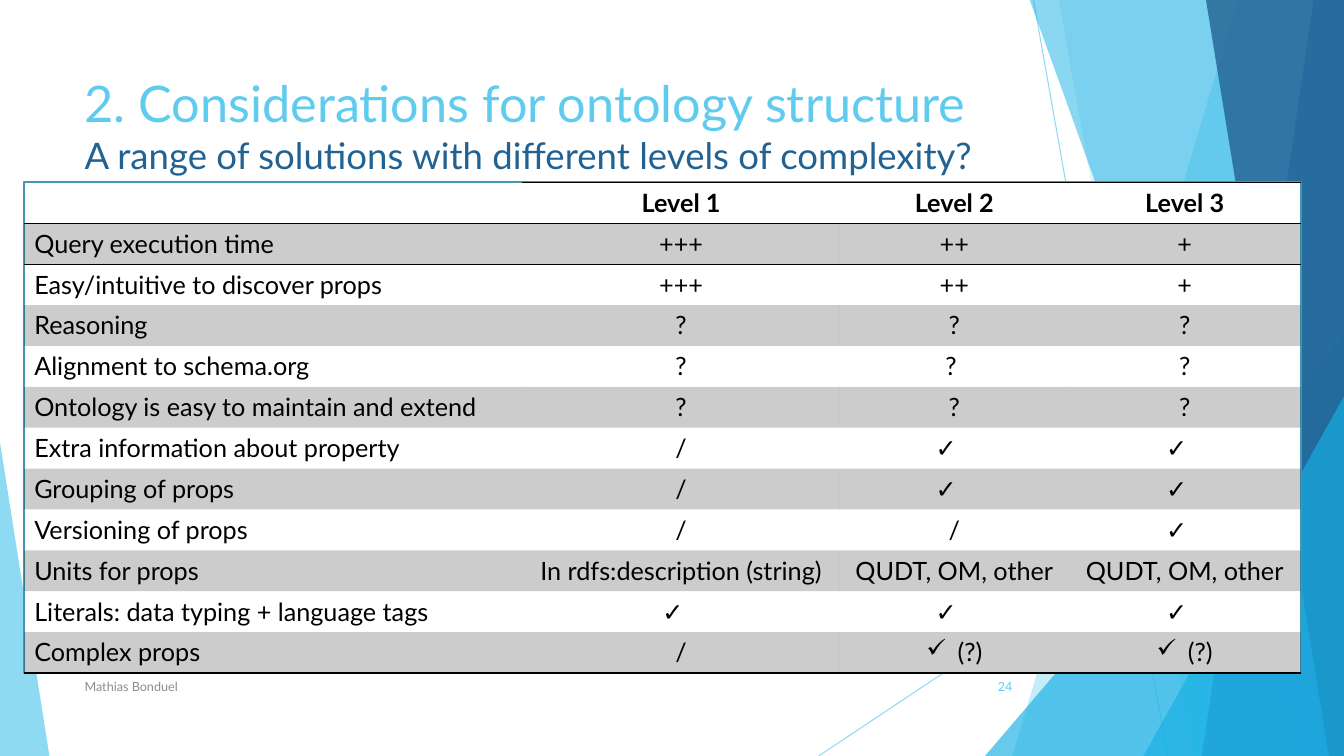
from typing import NamedTuple

from lxml import etree
from pptx import Presentation
from pptx.dml.color import RGBColor
from pptx.enum.shapes import MSO_CONNECTOR, MSO_SHAPE
from pptx.enum.text import MSO_ANCHOR, PP_ALIGN
from pptx.oxml.ns import qn
from pptx.util import Inches, Pt

LEFT, CENTER, RIGHT = PP_ALIGN.LEFT, PP_ALIGN.CENTER, PP_ALIGN.RIGHT
TOP, MIDDLE = MSO_ANCHOR.TOP, MSO_ANCHOR.MIDDLE
STRAIGHT = MSO_CONNECTOR.STRAIGHT
TRIANGLE, RECTANGLE = MSO_SHAPE.ISOSCELES_TRIANGLE, MSO_SHAPE.RECTANGLE

SKY = RGBColor(0x5F, 0xCB, 0xEF)
CYAN = RGBColor(0x17, 0xB0, 0xE4)
BLUE = RGBColor(0x2E, 0x83, 0xC3)
NAVY = RGBColor(0x22, 0x62, 0x92)
TEAL = RGBColor(0x46, 0x96, 0xB1)
GREY = RGBColor(0x8C, 0x8C, 0x8C)
BLACK = RGBColor(0, 0, 0)
WHITE = RGBColor(0xFF, 0xFF, 0xFF)

FONT = "Lato"
WIDTH, HEIGHT = 13.33, 7.5
NO_STYLE = "{2D5ABB26-0587-4C30-8999-92F81FD0307C}"
CHECK = "✓"


class Ray(NamedTuple):
    start: tuple[float, float]
    end: tuple[float, float]


class Band(NamedTuple):
    """Facet reaching the right edge, with a slanted left side."""
    top_x: float
    bottom_x: float
    color: RGBColor
    opacity: int


class Corner(NamedTuple):
    """Triangle standing on the bottom edge."""
    left: float
    top: float
    width: float
    apex: float
    color: RGBColor
    opacity: int


RAYS = [Ray((10.25, 0), (11.58, HEIGHT)), Ray((WIDTH, 4.03), (8.12, HEIGHT))]
FACETS = [
    Band(12.28, 10.04, SKY, 36),
    Band(10.5, 11.83, SKY, 20),
    Corner(9.77, 3.33, 3.56, 1, CYAN, 66),
    Band(10.21, 12.91, CYAN, 50),
    Band(13.03, 11.92, BLUE, 70),
    Band(11.96, 13.18, NAVY, 80),
    Corner(11.34, 3.93, 1.99, 1, CYAN, 66),
    Corner(0, 4.39, 0.49, 0, SKY, 70),
]

TABLE_BOX = [Inches(v) for v in (0.24, 1.81, 12.66, 4.87)]
COLUMN_WIDTHS = [4.94, 3.15, 2.27, 2.3]
COMPARISON = [
    ("", "Level 1", "Level 2", "Level 3"),
    ("Query execution time", "+++", "++", "+"),
    ("Easy/intuitive to discover props", "+++", "++", "+"),
    ("Reasoning", "?", "?", "?"),
    ("Alignment to schema.org", "?", "? ", "?"),
    ("Ontology is easy to maintain and extend", "?", "?", "?"),
    ("Extra information about property", "/", CHECK, CHECK),
    ("Grouping of props", "/", CHECK, CHECK),
    ("Versioning of props", "/", "/", CHECK),
    ("Units for props", "In rdfs:description (string)", "QUDT, OM, other", "QUDT, OM, other"),
    ("Literals: data typing + language tags", CHECK, CHECK, CHECK),
    ("Complex props", "/", "(?)", "(?)"),
]


def set_opacity(element, percent: int) -> None:
    for color in element.iter(qn("a:srgbClr")):
        etree.SubElement(color, qn("a:alpha"), val=str(percent * 1000))


def paint(shape, color: RGBColor, opacity: int = 100) -> None:
    shape.shadow.inherit = False
    shape.fill.solid()
    shape.fill.fore_color.rgb = color
    shape.line.fill.background()
    if opacity < 100:
        set_opacity(shape.fill._xPr, opacity)


def add_ray(slide, ray: Ray) -> None:
    line = slide.shapes.add_connector(STRAIGHT, *(Inches(v) for v in ray.start + ray.end))
    line.line.color.rgb = SKY
    line.line.width = Pt(0.75)
    properties = line._element.spPr
    set_opacity(properties, 70)
    etree.SubElement(properties, qn("a:effectLst"))


def add_facet(slide, facet: Band | Corner) -> None:
    if isinstance(facet, Band):
        outline = [(facet.top_x, -0.01), (WIDTH, -0.01), (WIDTH, HEIGHT), (facet.bottom_x, HEIGHT)]
        points = [(Inches(x), Inches(y)) for x, y in outline]
        builder = slide.shapes.build_freeform(*points[0])
        builder.add_line_segments(points[1:], close=True)
        shape = builder.convert_to_shape()
    else:
        box = (facet.left, facet.top, facet.width, HEIGHT - facet.top)
        shape = slide.shapes.add_shape(TRIANGLE, *(Inches(v) for v in box))
        shape.adjustments[0] = facet.apex
    paint(shape, facet.color, facet.opacity)


def write(paragraph, text: str, *, size: float = 18, color: RGBColor = BLACK,
          bold: bool = False, align=LEFT) -> None:
    paragraph.alignment = align
    run = paragraph.add_run()
    run.text = text
    run.font.name = FONT
    run.font.size = Pt(size)
    run.font.bold = bold
    run.font.color.rgb = color


def add_text_area(slide, box: tuple[float, ...], anchor):
    frame = slide.shapes.add_textbox(*(Inches(v) for v in box)).text_frame
    frame.word_wrap = True
    frame.vertical_anchor = anchor
    return frame.paragraphs[0]


def add_border(cell, side: str) -> None:
    properties = cell._tc.get_or_add_tcPr()
    line = etree.SubElement(properties, qn(f"a:ln{side}"), w=str(Pt(1)))
    fill = etree.SubElement(line, qn("a:solidFill"))
    etree.SubElement(fill, qn("a:srgbClr"), val=str(BLACK))


def add_check_bullet(paragraph) -> None:
    properties = paragraph._p.get_or_add_pPr()
    properties.set("marL", str(Inches(0.31)))
    properties.set("indent", str(Inches(-0.31)))
    etree.SubElement(properties, qn("a:buChar"), char=CHECK)


def fill_cell(cell, text: str, row: int, column: int) -> None:
    last = len(COMPARISON) - 1
    if row == 0 and column > 0:
        add_border(cell, "T")
    elif row == 1:
        add_border(cell, "T")
    if row in (0, last) or (row, column) == (1, 0):
        add_border(cell, "B")

    if row % 2:
        cell.fill.solid()
        cell.fill.fore_color.rgb = BLACK
        set_opacity(cell._tc.tcPr.find(qn("a:solidFill")), 20)
    else:
        cell.fill.background()

    if text:
        paragraph = cell.text_frame.paragraphs[0]
        write(paragraph, text, bold=row == 0, align=CENTER if column else LEFT)
        if text == "(?)":
            add_check_bullet(paragraph)
        elif text == CHECK:
            cell.margin_right = Inches(0.26)


def add_comparison(slide) -> None:
    backing = slide.shapes.add_shape(RECTANGLE, *TABLE_BOX)
    paint(backing, WHITE)
    backing.line.color.rgb = TEAL
    backing.line.width = Pt(1.5)

    table = slide.shapes.add_table(len(COMPARISON), len(COLUMN_WIDTHS), *TABLE_BOX).table
    table.first_row = table.horz_banding = False
    table._tbl.tblPr.find(qn("a:tableStyleId")).text = NO_STYLE
    for column, width in zip(table.columns, COLUMN_WIDTHS):
        column.width = Inches(width)
    for r, texts in enumerate(COMPARISON):
        for c, text in enumerate(texts):
            fill_cell(table.cell(r, c), text, r, c)


def main() -> None:
    deck = Presentation()
    deck.slide_width, deck.slide_height = Inches(WIDTH), Inches(HEIGHT)
    slide = deck.slides.add_slide(deck.slide_layouts[6])

    # Faceted backdrop
    for ray in RAYS:
        add_ray(slide, ray)
    for facet in FACETS:
        add_facet(slide, facet)

    # Heading and footer
    heading = add_text_area(slide, (0.74, 0.67, 9.4, 1.44), TOP)
    write(heading, "2. Considerations for ontology structure", size=36, color=SKY)
    heading.add_line_break()
    write(heading, "A range of solutions with different levels of complexity?", size=26.1, color=NAVY)
    author = add_text_area(slide, (0.74, 6.61, 6.89, 0.4), MIDDLE)
    write(author, "Mathias Bonduel", size=9, color=GREY)
    page_number = add_text_area(slide, (9.39, 6.61, 0.75, 0.4), MIDDLE)
    write(page_number, "24", size=9, color=SKY, align=RIGHT)

    # Comparison of the levels
    add_comparison(slide)
    deck.save("out.pptx")


if __name__ == "__main__":
    main()
